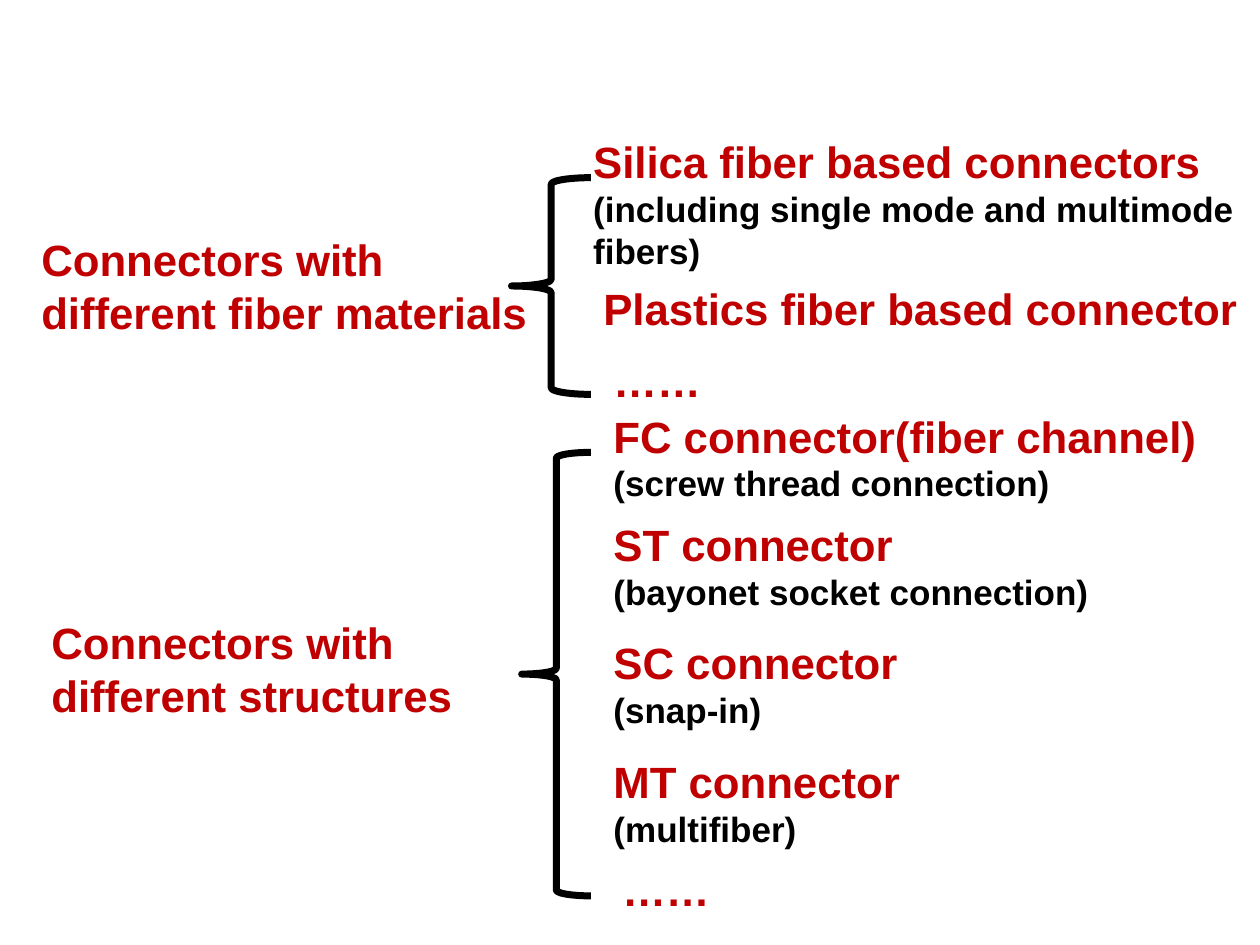
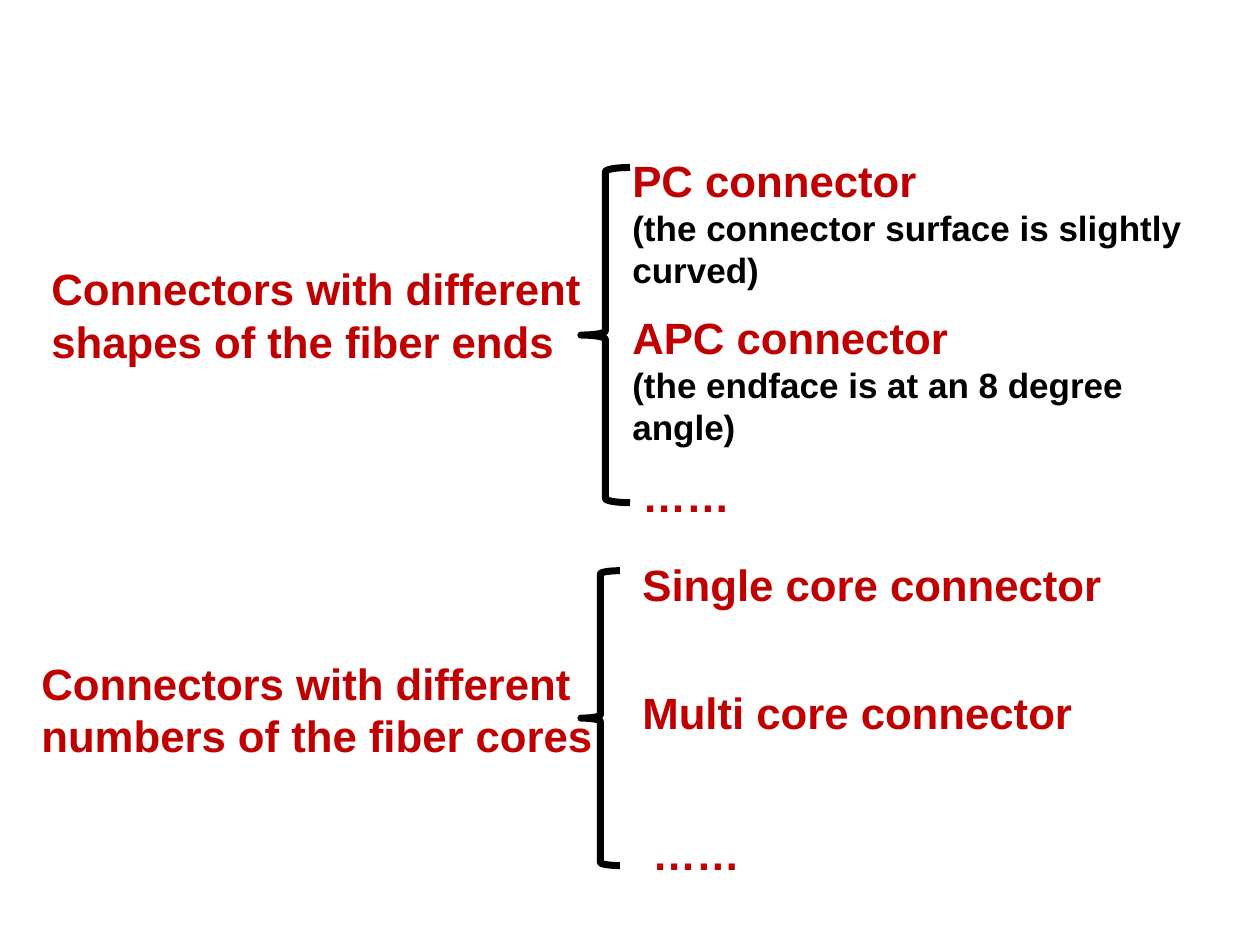
from pptx import Presentation
from pptx.dml.color import RGBColor
from pptx.enum.shapes import MSO_SHAPE
from pptx.enum.text import MSO_AUTO_SIZE
from pptx.util import Inches, Pt

RED = RGBColor(0xC0, 0x00, 0x00)
BLACK = RGBColor(0x00, 0x00, 0x00)
FONT = "Arial"
HEADING_SIZE, NOTE_SIZE = 25, 20
HEADING_LINE, NOTE_LINE, PADDING = 0.42, 0.34, 0.1
MORE = "……"

# Each class: heading, its left, top, width; brace left, top, width, height;
# kinds as left, top, width, name, note, note lines.
SLIDES = [
    [
        {
            "heading": ("Connectors with different fiber materials", 0.23, 1.8, 4.14),
            "brace": (4.06, 1.41, 0.63, 1.72),
            "kinds": [
                (4.61, 1.02, 5.86, "Silica fiber based connectors",
                 "(including single mode and multimode fibers)", 2),
                (4.69, 2.19, 5.86, "Plastics fiber based connector", "", 0),
                (4.77, 2.76, 5.86, MORE, "", 0),
            ],
        },
        {
            "heading": ("Connectors with different structures", 0.31, 4.84, 3.59),
            "brace": (4.14, 3.59, 0.55, 3.52),
            "kinds": [
                (4.77, 3.2, 4.92, "FC connector(fiber channel)",
                 "(screw thread connection)", 1),
                (4.77, 4.06, 5, "ST connector", "(bayonet socket connection)", 1),
                (4.77, 5, 4.45, "SC connector", "(snap-in)", 1),
                (4.77, 5.94, 4.45, "MT connector", "(multifiber)", 1),
                (4.84, 6.8, 2.58, MORE, "", 0),
            ],
        },
    ],
    [
        {
            "heading": ("Connectors with different shapes of the fiber ends",
                        0.31, 2.03, 4.45),
            "brace": (4.61, 1.33, 0.39, 2.66),
            "kinds": [
                (4.92, 1.17, 4.61, "PC connector",
                 "(the connector surface is slightly curved)", 2),
                (4.92, 2.42, 4.3, "APC connector",
                 "(the endface is at an 8 degree angle)", 2),
                (5, 3.67, 4.86, MORE, "", 0),
            ],
        },
        {
            "heading": ("Connectors with different numbers of the fiber cores",
                        0.23, 5.16, 4.69),
            "brace": (4.61, 4.53, 0.31, 2.34),
            "kinds": [
                (5, 4.38, 4.45, "Single core connector", "", 0),
                (5, 5.39, 4.45, "Multi core connector", "", 0),
                (5.08, 6.51, 4.86, MORE, "", 0),
            ],
        },
    ],
]


def add_run(paragraph, text, size, color):
    run = paragraph.add_run()
    run.text = text
    run.font.name = FONT
    run.font.size = Pt(size)
    run.font.bold = True
    run.font.color.rgb = color


def add_label(slide, left, top, width, name, note="", note_lines=0, name_lines=1):
    height = PADDING + name_lines * HEADING_LINE + note_lines * NOTE_LINE
    label = slide.shapes.add_textbox(
        Inches(left), Inches(top), Inches(width), Inches(height))
    frame = label.text_frame
    frame.word_wrap = True
    frame.auto_size = MSO_AUTO_SIZE.SHAPE_TO_FIT_TEXT
    add_run(frame.paragraphs[0], name, HEADING_SIZE, RED)
    if note:
        add_run(frame.add_paragraph(), note, NOTE_SIZE, BLACK)


def add_brace(slide, bounds):
    brace = slide.shapes.add_shape(MSO_SHAPE.LEFT_BRACE, *map(Inches, bounds))
    brace.shadow.inherit = False
    brace.fill.background()
    brace.line.color.rgb = BLACK
    brace.line.width = Pt(4)


def main():
    deck = Presentation()
    deck.slide_width, deck.slide_height = Inches(10), Inches(7.5)
    for connector_classes in SLIDES:
        slide = deck.slides.add_slide(deck.slide_layouts[6])
        for connector_class in connector_classes:
            add_brace(slide, connector_class["brace"])
            heading, left, top, width = connector_class["heading"]
            add_label(slide, left, top, width, heading, name_lines=2)
            for kind in connector_class["kinds"]:
                add_label(slide, *kind)
    deck.save("out.pptx")


if __name__ == "__main__":
    main()
